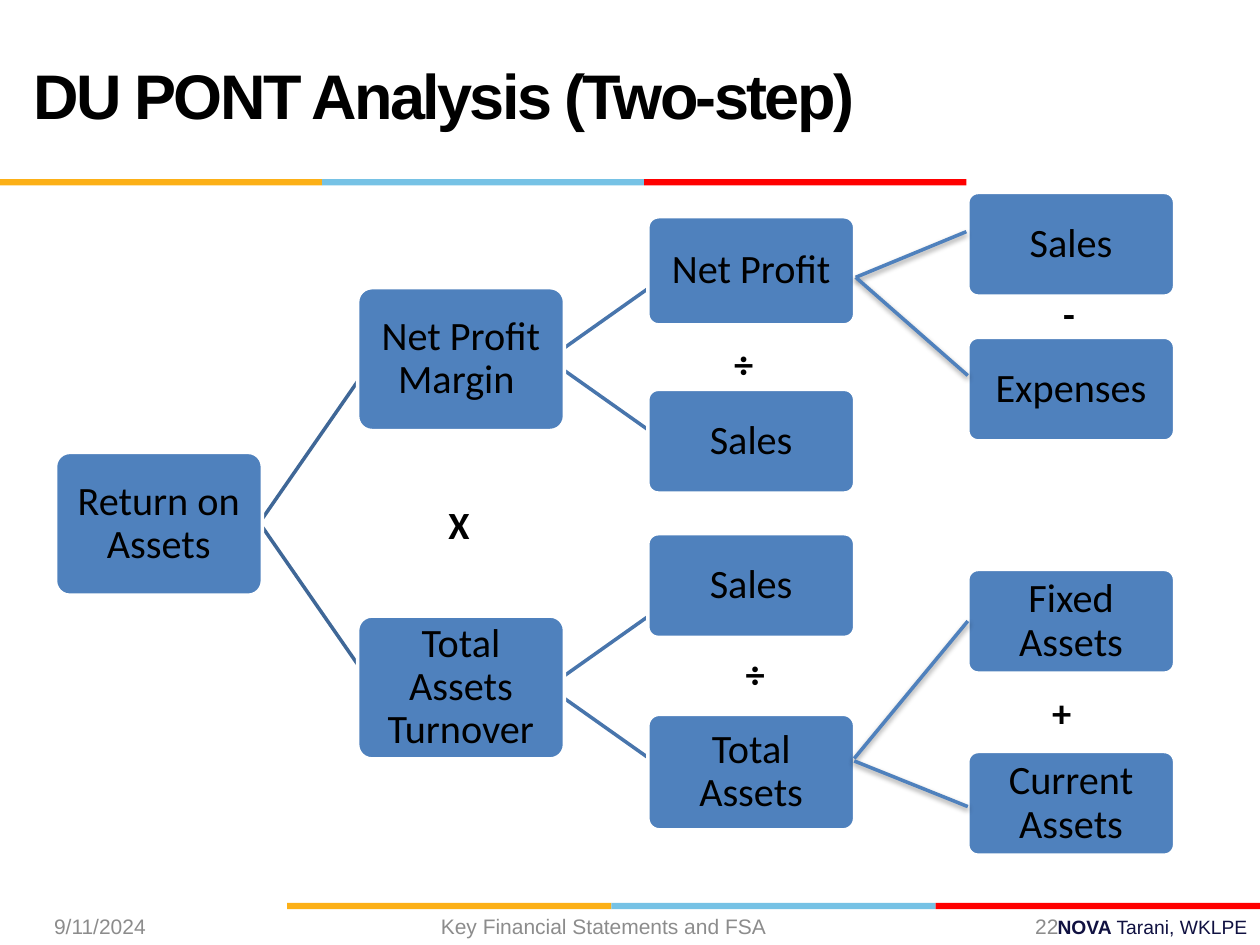
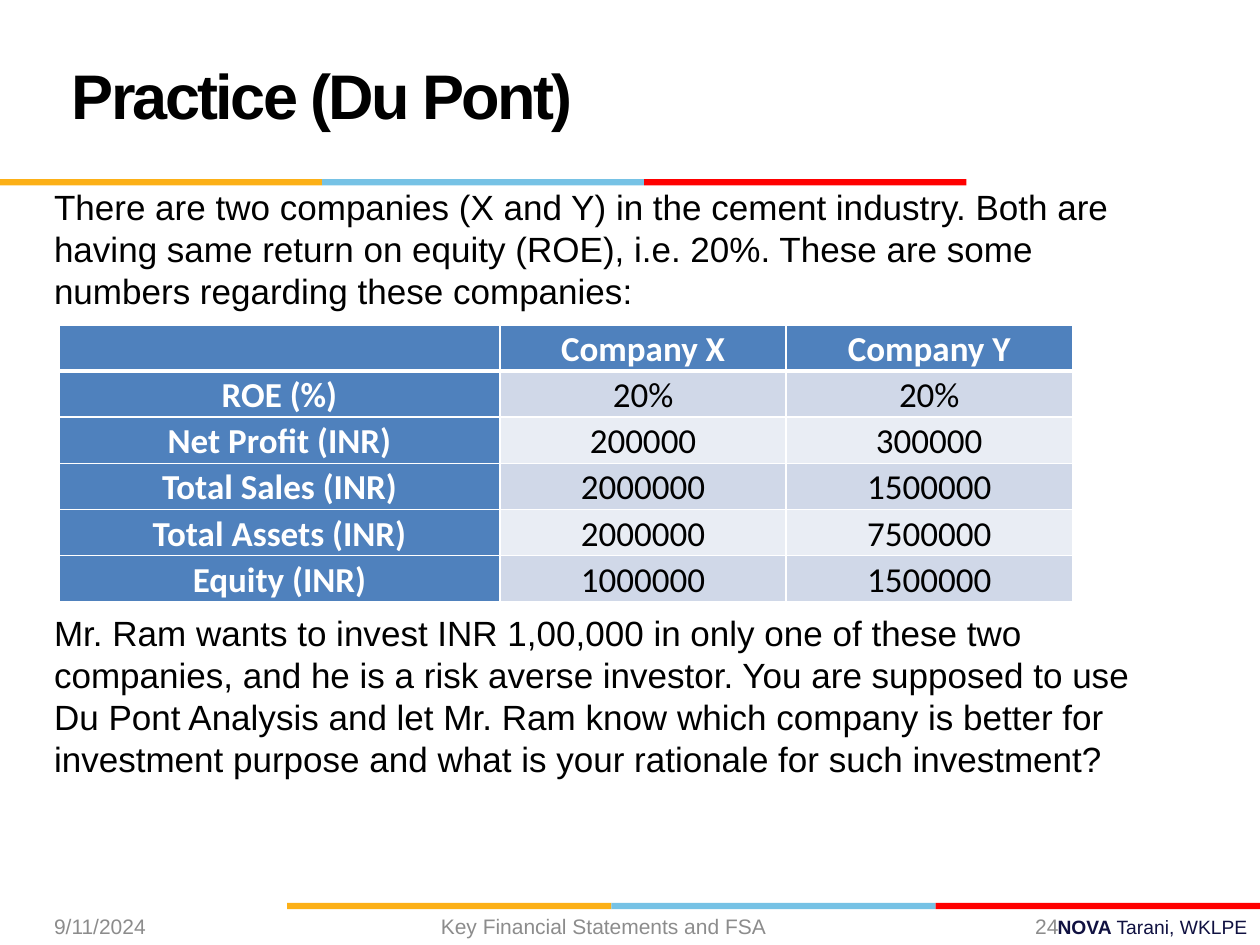
"""Builds two slides on Du Pont analysis: a ratio tree and a practice case."""
from collections import namedtuple

from lxml import etree
from pptx import Presentation
from pptx import util as u
from pptx.dml.color import RGBColor
from pptx.enum import shapes, text
from pptx.oxml import ns

Box = namedtuple("Box", "left top width height")

BLACK = RGBColor(0x00, 0x00, 0x00)
WHITE = RGBColor(0xFF, 0xFF, 0xFF)
GREY = RGBColor(0x8C, 0x8C, 0x8C)
NAVY = RGBColor(0x10, 0x11, 0x41)
ORANGE = RGBColor(0xFC, 0xB0, 0x17)
SKY = RGBColor(0x76, 0xC2, 0xE5)
RED = RGBColor(0xFF, 0x00, 0x00)
BLUE = RGBColor(0x4F, 0x81, 0xBD)
ROOT_LINK = RGBColor(0x3F, 0x67, 0x97)
BRANCH_LINK = RGBColor(0x48, 0x75, 0xAC)
ROW_DARK = RGBColor(0xD0, 0xD8, 0xE8)
ROW_LIGHT = RGBColor(0xE9, 0xED, 0xF4)

LEFT, CENTER, RIGHT = text.PP_ALIGN.LEFT, text.PP_ALIGN.CENTER, text.PP_ALIGN.RIGHT
TOP, MIDDLE, BOTTOM = text.MSO_ANCHOR.TOP, text.MSO_ANCHOR.MIDDLE, text.MSO_ANCHOR.BOTTOM

TITLE_TOP, TITLE_HEIGHT = 0.43, 3.18
TREE_BOX = Box(1.12, 3.88, 22.56, 13.36)
CASE_BOX = Box(0.84, 3.61, 22.86, 13.77)

NODE_WIDTH = 4.17
COLUMNS = (0, 6.09, 11.94, 18.39)
NODES = (
    ("Return on Assets", 0, 5.24, 2.88),
    ("Net Profit Margin ", 1, 1.92, 2.88),
    ("Total Assets Turnover", 1, 8.54, 2.88),
    ("Net Profit", 2, 0.49, 2.18),
    ("Sales", 2, 3.97, 2.09),
    ("Sales", 2, 6.88, 2.09),
    ("Total Assets", 2, 10.52, 2.33),
    ("Sales", 3, 0, 2.09),
    ("Expenses", 3, 2.92, 2.09),
    ("Fixed Assets", 3, 7.6, 2.09),
    ("Current Assets", 3, 11.27, 2.09),
)
FANS = (
    (4.11, 6.4, 6.66, 0, 3.3, ROOT_LINK),
    (10.26, 11.94, 3.36, 0.23, 1.42, BRANCH_LINK),
    (10.26, 11.94, 9.97, 0.23, 1.42, BRANCH_LINK),
)
LEAF_LINKS = (
    (16.13, 1.71, 18.36, 0.79),
    (16.13, 1.71, 18.39, 3.69),
    (16.1, 11.41, 18.39, 8.64),
    (16.1, 11.46, 18.39, 12.38),
)
OPERATORS = (
    ("X", 7.67, 6.1),
    ("-", 20.06, 1.84),
    ("+", 19.84, 9.89),
    ("÷", 13.43, 2.85),
    ("÷", 13.66, 9.1),
)
COMPANIES = (
    ("", "Company X", "Company Y"),
    ("ROE (%)", "20%", "20%"),
    ("Net Profit (INR)", "200000", "300000"),
    ("Total Sales (INR)", "2000000", "1500000"),
    ("Total Assets (INR)", "2000000", "7500000"),
    ("Equity (INR)", "1000000", "1500000"),
)
QUESTION = (
    "There are two companies (X and Y) in the cement industry. Both are having same "
    "return on equity (ROE), i.e. 20%. These are some numbers regarding these companies:"
)
TASK = (
    "Mr. Ram wants to invest INR 1,00,000 in only one of these two companies, and he is "
    "a risk averse investor. You are supposed to use Du Pont Analysis and let Mr. Ram know "
    "which company is better for investment purpose and what is your rationale for such "
    "investment?"
)


def lengths(box):
    """Turn a box in centimetres into lengths."""
    return [u.Cm(value) for value in box]


def write(frame, words, size=20, font="Arial", color=BLACK, bold=False, align=LEFT,
          anchor=TOP, spacing=None, tracking=None, bold_lead=""):
    """Write one formatted paragraph, with an optional bold lead, into a text frame."""
    frame.word_wrap = True
    frame.vertical_anchor = anchor
    paragraph = frame.paragraphs[0]
    paragraph.alignment = align
    paragraph.line_spacing = spacing
    for part, is_bold in ((bold_lead, True), (words, bold)):
        if part:
            run = paragraph.add_run()
            run.text = part
            run.font.size, run.font.name, run.font.bold = u.Pt(size), font, is_bold
            run.font.color.rgb = color
            if tracking is not None:
                run.font._element.set("spc", str(tracking))


def add_text(slide, box, words, **style):
    """Add a text box."""
    write(slide.shapes.add_textbox(*lengths(box)).text_frame, words, **style)


def add_block(slide, kind, box, color):
    """Add a filled shape without line or shadow."""
    shape = slide.shapes.add_shape(kind, *lengths(box))
    shape.shadow.inherit = False
    shape.fill.solid()
    shape.fill.fore_color.rgb = color
    shape.line.fill.background()
    return shape


def add_band(slide, box):
    """Add a three-coloured band that fills the box."""
    width = box.width / 3
    for index, color in enumerate((ORANGE, SKY, RED)):
        part = Box(box.left + index * width, box.top, width, box.height)
        add_block(slide, shapes.MSO_SHAPE.RECTANGLE, part, color)


def add_footer(slide, box, number):
    """Add date, topic, slide number and institute along the footer box."""
    def part(left, width):
        return Box(box.left + left, box.top, width, box.height)

    note = dict(size=12, color=GREY, anchor=MIDDLE)
    add_text(slide, part(0.84, 5.92), "9/11/2024", **note)
    add_text(slide, part(5.72, 12.9), "Key Financial Statements and FSA", align=CENTER, **note)
    add_text(slide, part(18.77, 2.82), str(number), align=RIGHT, **note)
    add_text(slide, part(19.89, 5.51), "Tarani, WKLPE", bold_lead="NOVA ", size=11,
             color=NAVY, align=RIGHT, anchor=MIDDLE)


def add_slide(presentation, title, left, width, number):
    """Add a title-only slide with the shared bands, title and footer."""
    slide = presentation.slides.add_slide(presentation.slide_layouts[5])
    add_band(slide, Box(0, 3.61, 19.48, 0.13))
    add_band(slide, Box(5.79, 18.2, 19.61, 0.13))
    holder = slide.shapes.title
    holder.left, holder.top, holder.width, holder.height = lengths(
        Box(left, TITLE_TOP, width, TITLE_HEIGHT))
    holder.text_frame.auto_size = text.MSO_AUTO_SIZE.NONE
    write(holder.text_frame, title, size=36, bold=True, anchor=MIDDLE,
          spacing=u.Pt(36), tracking=-150)
    add_footer(slide, Box(0, 18.31, 25.4, 0.74), number)
    return slide


def add_link(slide, box, ends, color, shadow=False):
    """Add a straight link between two points of the box."""
    x1, y1, x2, y2 = ends
    link = slide.shapes.add_connector(
        shapes.MSO_CONNECTOR.STRAIGHT, u.Cm(box.left + x1), u.Cm(box.top + y1),
        u.Cm(box.left + x2), u.Cm(box.top + y2))
    link.line.color.rgb = color
    link.line.width = u.Pt(2)
    effects = etree.SubElement(link._element.spPr, ns.qn("a:effectLst"))
    if shadow:
        outer = etree.SubElement(effects, ns.qn("a:outerShdw"), blurRad="40000",
                                 dist="20000", dir="5400000", rotWithShape="0")
        black = etree.SubElement(outer, ns.qn("a:srgbClr"), val=str(BLACK))
        etree.SubElement(black, ns.qn("a:alpha"), val="38000")


def add_node(slide, box, label):
    """Add one rounded ratio box."""
    shape = add_block(slide, shapes.MSO_SHAPE.ROUNDED_RECTANGLE, box, BLUE)
    shape.adjustments[0] = 0.1
    shape.line.color.rgb = WHITE
    shape.line.width = u.Pt(2)
    frame = shape.text_frame
    frame.margin_left = frame.margin_right = frame.margin_top = frame.margin_bottom = u.Cm(0.1)
    write(frame, label, size=23, font="Calibri", align=CENTER, anchor=MIDDLE, spacing=0.9)


def add_tree(slide, box):
    """Draw the ratio tree with its links and operators inside the box."""
    for start, end, middle, near, far, color in FANS:
        for side in (-1, 1):
            ends = (start, middle + side * near, end, middle + side * far)
            add_link(slide, box, ends, color)
    for label, column, top, height in NODES:
        place = Box(box.left + COLUMNS[column], box.top + top, NODE_WIDTH, height)
        add_node(slide, place, label)
    for ends in LEAF_LINKS:
        add_link(slide, box, ends, BLUE, shadow=True)
    for sign, left, top in OPERATORS:
        add_text(slide, Box(box.left + left, box.top + top, 1.17, 1.19), sign,
                 size=22, font="Calibri", bold=True)


def set_borders(cell, **widths):
    """Give a cell white borders; widths in points by side (L, R, T, B)."""
    properties = cell._tc.get_or_add_tcPr()
    for index, side in enumerate("LRTB"):
        line = etree.Element(ns.qn(f"a:ln{side}"), w=str(u.Pt(widths.get(side, 1))))
        fill = etree.SubElement(line, ns.qn("a:solidFill"))
        etree.SubElement(fill, ns.qn("a:srgbClr"), val=str(WHITE))
        properties.insert(index, line)


def add_company_table(slide, box):
    """Add the table that compares the companies."""
    table = slide.shapes.add_table(len(COMPANIES), 3, *lengths(box)).table
    for column, width in zip(table.columns, (8.89, 5.77, 5.77)):
        column.width = u.Cm(width)
    for row_index, values in enumerate(COMPANIES):
        table.rows[row_index].height = u.Cm(box.height / len(COMPANIES))
        for column_index, value in enumerate(values):
            cell = table.cell(row_index, column_index)
            heading = row_index == 0 or column_index == 0
            cell.margin_top = cell.margin_bottom = 0
            cell.margin_left = cell.margin_right = u.Cm(0.18)
            cell.vertical_anchor = BOTTOM
            cell.fill.solid()
            cell.fill.fore_color.rgb = (
                BLUE if heading else ROW_DARK if row_index % 2 else ROW_LIGHT)
            set_borders(cell, B=3 if row_index == 0 else 1, T=3 if row_index == 1 else 1)
            write(cell.text_frame, value, font="Calibri", bold=heading, align=CENTER,
                  color=WHITE if heading else BLACK, anchor=BOTTOM, spacing=1.07)


def add_case(slide, box):
    """Place the question, the company table and the task inside the box."""
    add_text(slide, Box(box.left, box.top, box.width, 2.8), QUESTION)
    add_company_table(slide, Box(box.left + 0.35, box.top + 2.94, 20.43, 5.58))
    add_text(slide, Box(box.left, box.top + 8.59, box.width, 3.7), TASK)


def main():
    """Build and save the presentation."""
    presentation = Presentation()
    presentation.slide_width, presentation.slide_height = u.Cm(25.4), u.Cm(19.05)
    tree_slide = add_slide(presentation, "DU PONT Analysis (Two-step)", 0.43, 19.05, 22)
    add_tree(tree_slide, TREE_BOX)
    case_slide = add_slide(presentation, "Practice (Du Pont)", 1.19, 16.81, 24)
    add_case(case_slide, CASE_BOX)
    presentation.save("out.pptx")


if __name__ == "__main__":
    main()
